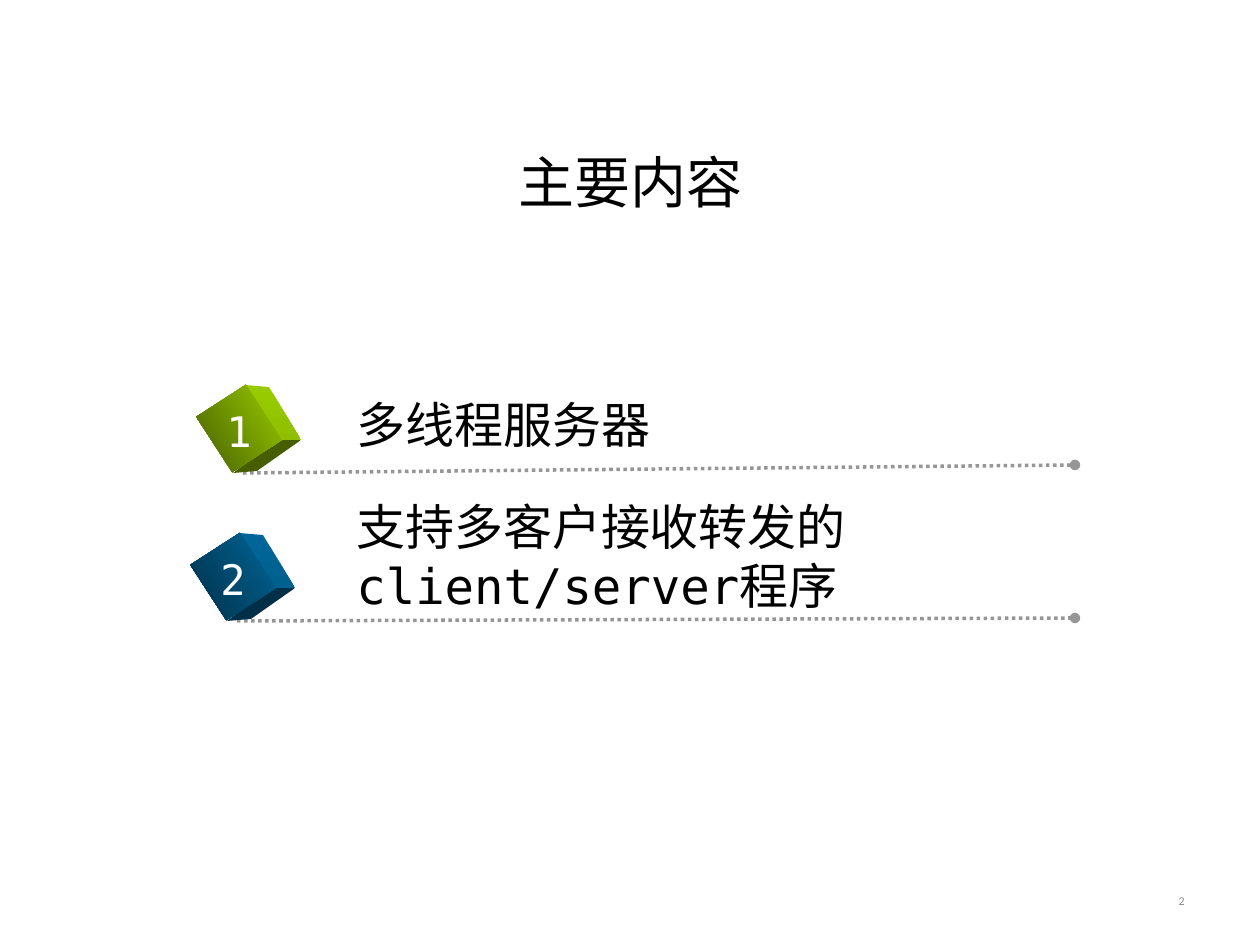
from lxml import etree
from pptx import Presentation
from pptx import util as u
from pptx.dml import color
from pptx.enum import dml, shapes, text
from pptx.oxml import ns

SCALE = 914400 / 126
COLOURS = {
    "ink": "000000", "number": "FFFFFF", "rule": "969696", "page": "8C8C8C",
    "green": "99CC00", "green_side": "8FBF00", "green_dark": "475E00",
    "blue": "006699", "blue_side": "006090", "blue_dark": "002F47",
}
MONO, CJK = "DejaVu Sans Mono", "Noto Sans CJK SC"


def px(*lengths):
    return [u.Emu(round(length * SCALE)) for length in lengths]


def rgb(name):
    return color.RGBColor.from_string(COLOURS[name])


def add_text(slide, box, lines, size, font, ink="ink", align=text.PP_ALIGN.LEFT,
             middle=False, grow=False):
    frame = slide.shapes.add_textbox(*px(*box)).text_frame
    frame.word_wrap = not grow
    if grow:
        frame.auto_size = text.MSO_AUTO_SIZE.SHAPE_TO_FIT_TEXT
    if middle:
        frame.vertical_anchor = text.MSO_ANCHOR.MIDDLE
    for index, line in enumerate(lines):
        paragraph = frame.paragraphs[0] if index == 0 else frame.add_paragraph()
        paragraph.alignment = align
        run = paragraph.add_run()
        run.text = line
        run.font.size = u.Pt(size)
        run.font.name = font
        run.font.color.rgb = rgb(ink)
        east_asian = etree.SubElement(run.font._element, ns.qn("a:ea"))
        east_asian.set("typeface", CJK)


def add_rule(slide, start, end):
    rule = slide.shapes.add_connector(shapes.MSO_CONNECTOR.STRAIGHT, *px(*start, *end))
    rule.line.color.rgb = rgb("rule")
    rule.line.width = u.Pt(2)
    rule.line.dash_style = dml.MSO_LINE.ROUND_DOT
    outline = rule.line._get_or_add_ln()
    etree.SubElement(outline, ns.qn("a:tailEnd")).set("type", "oval")
    etree.SubElement(rule._element.spPr, ns.qn("a:effectLst"))


def add_gradient(shape, light, dark, angle):
    shape.shadow.inherit = False
    shape.line.fill.background()
    shape.fill.gradient()
    shape.fill.gradient_angle = angle
    for stop, name, position in zip(shape.fill.gradient_stops, (light, dark), (0, 1)):
        stop.color.rgb = rgb(name)
        stop.position = position


def add_cube(slide, left, top, number, hue):
    sides = (
        (((45, 0), (69, 2), (101, 55), (78, 56)), hue, hue + "_side"),
        (((33, 88), (78, 55), (101, 55), (57, 86)), hue + "_dark", hue + "_dark"),
    )
    for corners, light, dark in sides:
        points = [px(left + x, top + y) for x, y in corners]
        outline = slide.shapes.build_freeform(*points[0])
        outline.add_line_segments(points[1:], close=True)
        add_gradient(outline.convert_to_shape(), light, dark, 270)
    front = slide.shapes.add_shape(
        shapes.MSO_SHAPE.RECTANGLE, *px(left + 6, top + 14, 66, 59))
    front.rotation = 57
    add_gradient(front, hue, hue + "_dark", 270)
    add_text(slide, (left + 14, top + 14, 49, 64), [number], 24, MONO, "number",
             text.PP_ALIGN.CENTER, grow=True)


def add_item(slide, left, top, number, hue, rule_end, label_box, lines):
    add_rule(slide, (left + 43, top + 88), rule_end)
    add_cube(slide, left, top, number, hue)
    add_text(slide, label_box, lines, 28, MONO, grow=True)


def add_contents(slide):
    add_text(slide, (64, 102, 1134, 158), ["主要内容"], 32, CJK,
             align=text.PP_ALIGN.CENTER, middle=True)
    add_item(slide, 200, 385, "1", "green", (1075, 465),
             (344, 388, 319, 72), ["多线程服务器"])
    add_item(slide, 194, 533, "2", "blue", (1075, 618),
             (344, 490, 520, 131), ["支持多客户接收转发的", "client/server程序"])
    add_text(slide, (903, 876, 294, 50), ["2"], 6.8, "Calibri", "page",
             text.PP_ALIGN.RIGHT, middle=True)


deck = Presentation()
deck.slide_width, deck.slide_height = px(1260, 945)
add_contents(deck.slides.add_slide(deck.slide_layouts[6]))
deck.save("out.pptx")
